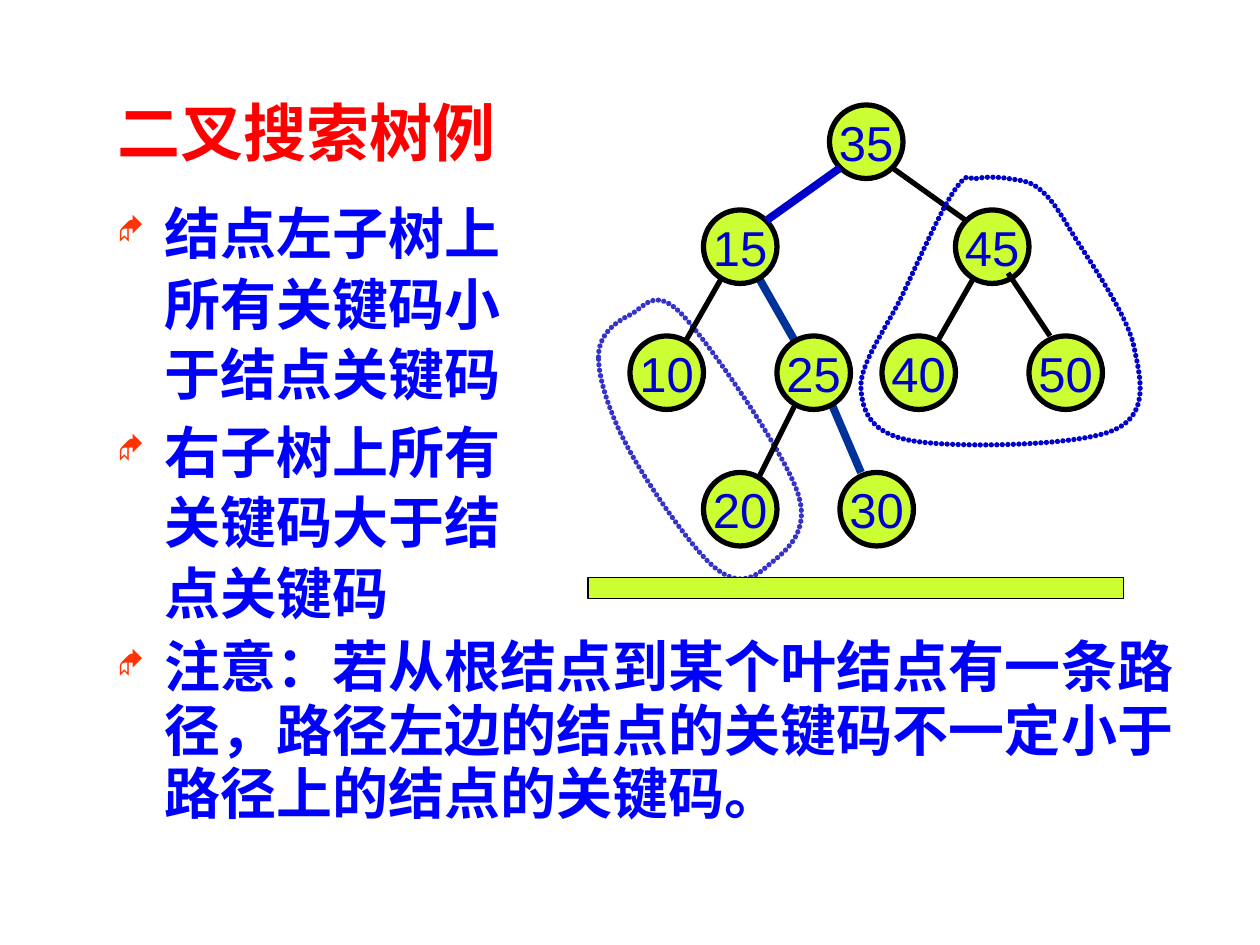
import pptx
import pptx.util
import pptx.dml.color
import pptx.enum.shapes
import pptx.enum.text
import pptx.oxml.ns
from dataclasses import dataclass
from lxml import etree

Pt = pptx.util.Pt
RGBColor = pptx.dml.color.RGBColor
Shape = pptx.enum.shapes.MSO_SHAPE
Anchor = pptx.enum.text.MSO_ANCHOR
qn = pptx.oxml.ns.qn

RED = RGBColor(0xFF, 0x00, 0x00)
BLUE = RGBColor(0x00, 0x00, 0xFF)
DEEP = RGBColor(0x00, 0x00, 0xCC)
NAVY = RGBColor(0x00, 0x33, 0x99)
VIOLET = RGBColor(0x33, 0x33, 0xCC)
BLACK = RGBColor(0x00, 0x00, 0x00)
LIME = RGBColor(0xCC, 0xFF, 0x33)
ORANGE = RGBColor(0xFF, 0x33, 0x00)
SERIF = "Times New Roman"
SIZE = 42


@dataclass
class Node:
    key: str
    left: float
    top: float


@dataclass
class Edge:
    start: tuple
    end: tuple
    color: RGBColor = BLACK
    width: float = 3


@dataclass
class Loop:
    color: RGBColor
    start: tuple
    curves: list


@dataclass
class Block:
    box: tuple
    spacing: float
    items: list


LOWER = [
    Edge((558, 156), (534, 198)),
    Edge((474, 228), (492, 270), NAVY, 4.5),
    Edge((456, 228), (432, 276)),
    Edge((414, 156), (390, 198)),
    Edge((432, 156), (456, 198), NAVY, 4.5),
]
UPPER = [
    Edge((480, 96), (438, 126), DEEP, 4.5),
    Edge((510, 96), (552, 126)),
    Edge((576, 156), (600, 192)),
]
NODES = [
    Node("35", 474, 60),
    Node("15", 402, 120), Node("45", 546, 120),
    Node("50", 588, 192), Node("40", 504, 192),
    Node("25", 444, 192), Node("10", 360, 192),
    Node("20", 402, 270), Node("30", 480, 270),
]
LEFT = Loop(VIOLET, (342, 204), [
    ((342, 191), (352, 184), (360, 180)),
    ((368, 176), (374, 163), (390, 180)),
    ((406, 197), (448, 258), (456, 282)),
    ((464, 306), (446, 317), (438, 324)),
    ((430, 331), (421, 335), (408, 324)),
    ((395, 313), (371, 278), (360, 258)),
    ((349, 238), (342, 217), (342, 204)),
])
RIGHT = Loop(DEEP, (558, 102), [
    ((563, 101), (570, 101), (576, 102)),
    ((582, 103), (588, 103), (594, 108)),
    ((600, 113), (603, 117), (612, 132)),
    ((621, 147), (644, 179), (648, 198)),
    ((652, 217), (657, 237), (636, 246)),
    ((615, 255), (546, 256), (522, 252)),
    ((498, 248), (493, 236), (492, 222)),
    ((491, 208), (507, 187), (516, 168)),
    ((525, 149), (538, 119), (546, 108)),
    ((554, 97), (553, 103), (558, 102)),
])
BLOCKS = [
    Block((60, 108, 252, 258), 1.05, [
        "结点左子树上所有关键码小于结点关键码",
        "右子树上所有关键码大于结点关键码",
    ]),
    Block((60, 360, 624, 126), 0.95, [
        "注意：若从根结点到某个叶结点有一条路径，路径左边的结点的关键码不一定小于路径上的结点的关键码。",
    ]),
]


def set_font(para, name: str, size: float, color: RGBColor, bold: bool) -> None:
    font = para.font
    font.name, font.size, font.bold = name, Pt(size), bold
    font.color.rgb = color


def draw_edge(shapes, edge: Edge) -> None:
    kind = pptx.enum.shapes.MSO_CONNECTOR.STRAIGHT
    line = shapes.add_connector(kind, *map(Pt, edge.start + edge.end))
    line.line.color.rgb = edge.color
    line.line.width = Pt(edge.width)
    etree.SubElement(line._element.spPr, qn("a:effectLst"))


def draw_shape(shapes, kind, box: tuple, width: float):
    shape = shapes.add_shape(kind, *map(Pt, box))
    shape.shadow.inherit = False
    shape.fill.solid()
    shape.fill.fore_color.rgb = LIME
    shape.line.color.rgb = BLACK
    shape.line.width = Pt(width)
    return shape


def draw_node(shapes, node: Node) -> None:
    shape = draw_shape(shapes, Shape.OVAL, (node.left, node.top, SIZE, SIZE), 3)
    frame = shape.text_frame
    frame.word_wrap = False
    frame.vertical_anchor = Anchor.MIDDLE
    frame.text = node.key
    para = frame.paragraphs[0]
    para.alignment = pptx.enum.text.PP_ALIGN.CENTER
    set_font(para, "Arial", 28, DEEP, False)


def bend(shape) -> None:
    lines = list(shape._element.iter(qn("a:lnTo")))
    for first, second, end in zip(lines[::3], lines[1::3], lines[2::3]):
        curve = etree.Element(qn("a:cubicBezTo"))
        first.addprevious(curve)
        for line in (first, second, end):
            curve.append(line[0])
            line.getparent().remove(line)


def add_dots(line) -> None:
    line._ln.set("cap", "rnd")
    dash = etree.SubElement(line._ln, qn("a:custDash"))
    etree.SubElement(dash, qn("a:ds"), d="100000", sp="5000")


def draw_loop(shapes, loop: Loop) -> None:
    pen = shapes.build_freeform(*loop.start, scale=float(Pt(1)))
    pen.add_line_segments([spot for curve in loop.curves for spot in curve])
    shape = pen.convert_to_shape()
    bend(shape)
    shape.shadow.inherit = False
    shape.fill.background()
    shape.line.color.rgb = loop.color
    shape.line.width = Pt(3)
    add_dots(shape.line)


def add_bullet(para) -> None:
    props = para._p.get_or_add_pPr()
    props.set("marL", str(Pt(27)))
    props.set("indent", str(Pt(-27)))
    tint = etree.SubElement(props, qn("a:buClr"))
    etree.SubElement(tint, qn("a:srgbClr"), val=str(ORANGE))
    etree.SubElement(props, qn("a:buSzPct"), val="55000")
    etree.SubElement(props, qn("a:buFont"), typeface="Wingdings", charset="2")
    etree.SubElement(props, qn("a:buChar"), char="◆")


def add_frame(shapes, box: tuple):
    frame = shapes.add_textbox(*map(Pt, box)).text_frame
    frame.word_wrap = True
    return frame


def draw_title(shapes) -> None:
    frame = add_frame(shapes, (60, 48, 264, 54))
    frame.vertical_anchor = Anchor.MIDDLE
    frame.text = "二叉搜索树例"
    set_font(frame.paragraphs[0], SERIF, 36, RED, True)


def draw_block(shapes, block: Block) -> None:
    frame = add_frame(shapes, block.box)
    frame.text = "\n".join(block.items)
    for rank, para in enumerate(frame.paragraphs):
        add_bullet(para)
        para.line_spacing = block.spacing
        if rank:
            para.space_before = Pt(4)
        set_font(para, SERIF, 32, BLUE, True)


def main() -> None:
    deck = pptx.Presentation()
    deck.slide_width, deck.slide_height = Pt(720), Pt(540)
    shapes = deck.slides.add_slide(deck.slide_layouts[6]).shapes
    draw_loop(shapes, LEFT)
    for edge in LOWER:
        draw_edge(shapes, edge)
    for node in NODES:
        draw_node(shapes, node)
    for edge in UPPER:
        draw_edge(shapes, edge)
    draw_shape(shapes, Shape.RECTANGLE, (336, 330, 306, 12), 0.75)
    draw_loop(shapes, RIGHT)
    draw_title(shapes)
    for block in BLOCKS:
        draw_block(shapes, block)
    deck.save("out.pptx")


if __name__ == "__main__":
    main()
